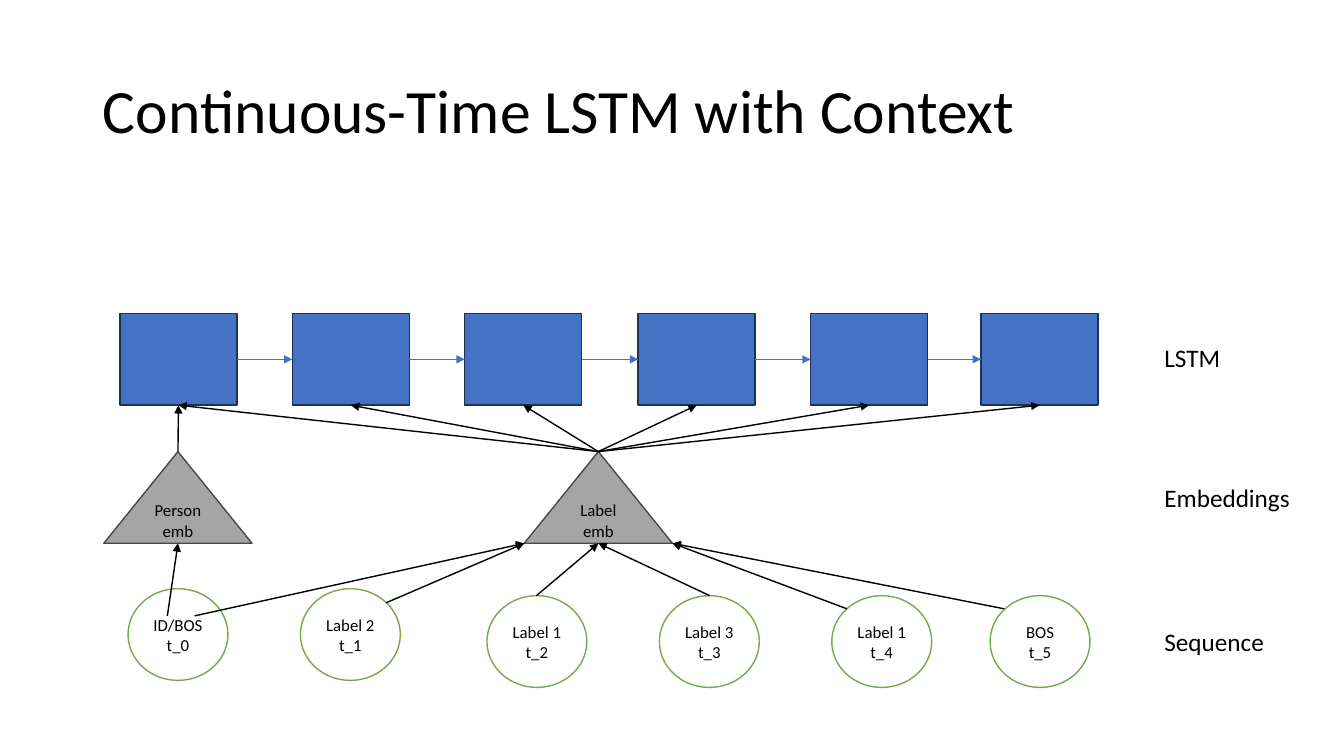
from lxml import etree
from pptx import Presentation
from pptx.dml.color import RGBColor
from pptx.enum.shapes import MSO_CONNECTOR as CONN, MSO_SHAPE as SHAPE
from pptx.enum.text import MSO_ANCHOR as ANCHOR, PP_ALIGN as ALIGN
from pptx.oxml.ns import qn
from pptx.util import Inches, Pt

COLORS = {
    "cell": "4472C4", "cell_line": "1E3256",
    "emb": "A5A5A5", "emb_line": "484848",
    "item": "FFFFFF", "item_line": "70AD47",
    "text": "000000",
}

prs = Presentation()
prs.slide_width, prs.slide_height = Inches(13.33), Inches(7.5)
s = prs.slides.add_slide(prs.slide_layouts[5])


def add_node(kind, x, y, w, h, color, lines=()):
    sp = s.shapes.add_shape(kind, Inches(x), Inches(y), Inches(w), Inches(h))
    sp.shadow.inherit = False
    sp.fill.solid()
    sp.fill.fore_color.rgb = RGBColor.from_string(COLORS[color])
    sp.line.color.rgb = RGBColor.from_string(COLORS[color + "_line"])
    sp.line.width = Pt(1)
    tf = sp.text_frame
    tf.vertical_anchor = ANCHOR.MIDDLE
    for i, line in enumerate(lines):
        p = tf.paragraphs[0] if i == 0 else tf.add_paragraph()
        p.text = line
        p.alignment = ALIGN.CENTER
        p.font.size, p.font.name = Pt(12), "Calibri"
        p.font.color.rgb = RGBColor.from_string(COLORS["text"])
    return sp


def add_arrow(start, end, color="text", width=1):
    c = s.shapes.add_connector(CONN.STRAIGHT, *map(Inches, start + end))
    c.line.color.rgb = RGBColor.from_string(COLORS[color])
    c.line.width = Pt(width)
    etree.SubElement(c.line._get_or_add_ln(), qn("a:tailEnd"), type="triangle")
    etree.SubElement(c._element.spPr, qn("a:effectLst"))
    return c


# Title
title = s.shapes.title
title.left, title.top = Inches(0.92), Inches(0.4)
title.width, title.height = Inches(11.5), Inches(1.45)
tf = title.text_frame
tf.text = "Continuous-Time LSTM with Context"
tf.vertical_anchor = ANCHOR.MIDDLE
p = tf.paragraphs[0]
p.alignment, p.line_spacing = ALIGN.LEFT, 0.9
p.font.size, p.font.name = Pt(44), "Calibri"
p.font.color.rgb = RGBColor.from_string(COLORS["text"])

# LSTM cells, chained left to right
CELL_W, ROW_H, CELL_Y = 1.16, 0.91, 3.11
cell_xs = [1.19, 2.9, 4.61, 6.33, 8.04, 9.73]
cells = [add_node(SHAPE.RECTANGLE, x, CELL_Y, CELL_W, ROW_H, "cell") for x in cell_xs]
for i in range(len(cells) - 1):
    y = CELL_Y + ROW_H / 2
    c = add_arrow((cell_xs[i] + CELL_W, y), (cell_xs[i + 1], y), "cell", 0.5)
    c.begin_connect(cells[i], 3)
    c.end_connect(cells[i + 1], 1)

# Embeddings
EMB_W, EMB_Y = 1.47, 4.48
EMB_BASE = EMB_Y + ROW_H
person_x, label_x = 1.03, 5.2
label_mid = label_x + EMB_W / 2
person = add_node(SHAPE.ISOSCELES_TRIANGLE, person_x, EMB_Y, EMB_W, ROW_H, "emb", ["Person emb"])
label = add_node(SHAPE.ISOSCELES_TRIANGLE, label_x, EMB_Y, EMB_W, ROW_H, "emb", ["Label emb"])

# Input sequence
items = [
    (1.27, 5.84, "ID/BOS"), (2.98, 5.84, "Label 2"), (4.83, 5.91, "Label 1"),
    (6.54, 5.91, "Label 3"), (8.25, 5.91, "Label 1"), (9.82, 5.91, "BOS"),
]
for i, (x, y, name) in enumerate(items):
    add_node(SHAPE.OVAL, x, y, 0.99, ROW_H, "item", [name, f"t_{i}"])

# Sequence to embeddings
label_right = label_x + EMB_W
for start, end_x in [
    ((1.66, 6.11), person_x + EMB_W / 2),
    ((1.93, 6.11), label_x), ((3.83, 5.98), label_x),
    ((5.32, 5.91), label_mid), ((7.04, 5.91), label_mid),
    ((8.4, 6.04), label_right), ((9.96, 6.04), label_right),
]:
    add_arrow(start, (end_x, EMB_BASE))

# Embeddings to cells
for emb, emb_x, i in [(person, person_x, 0)] + [(label, label_x, i) for i in range(len(cells))]:
    c = add_arrow((emb_x + EMB_W / 2, EMB_Y), (cell_xs[i] + CELL_W / 2, CELL_Y + ROW_H))
    c.begin_connect(emb, 0)
    c.end_connect(cells[i], 2)

# Row labels
for y, name in [(3.35, "LSTM"), (4.74, "Embeddings"), (6.16, "Sequence")]:
    box = s.shapes.add_textbox(Inches(11.45), Inches(y), Inches(1.58), Inches(0.4))
    tf = box.text_frame
    tf.word_wrap = True
    p = tf.paragraphs[0]
    p.text = name
    p.font.size, p.font.name = Pt(18), "Calibri"
    p.font.color.rgb = RGBColor.from_string(COLORS["text"])

prs.save("out.pptx")
